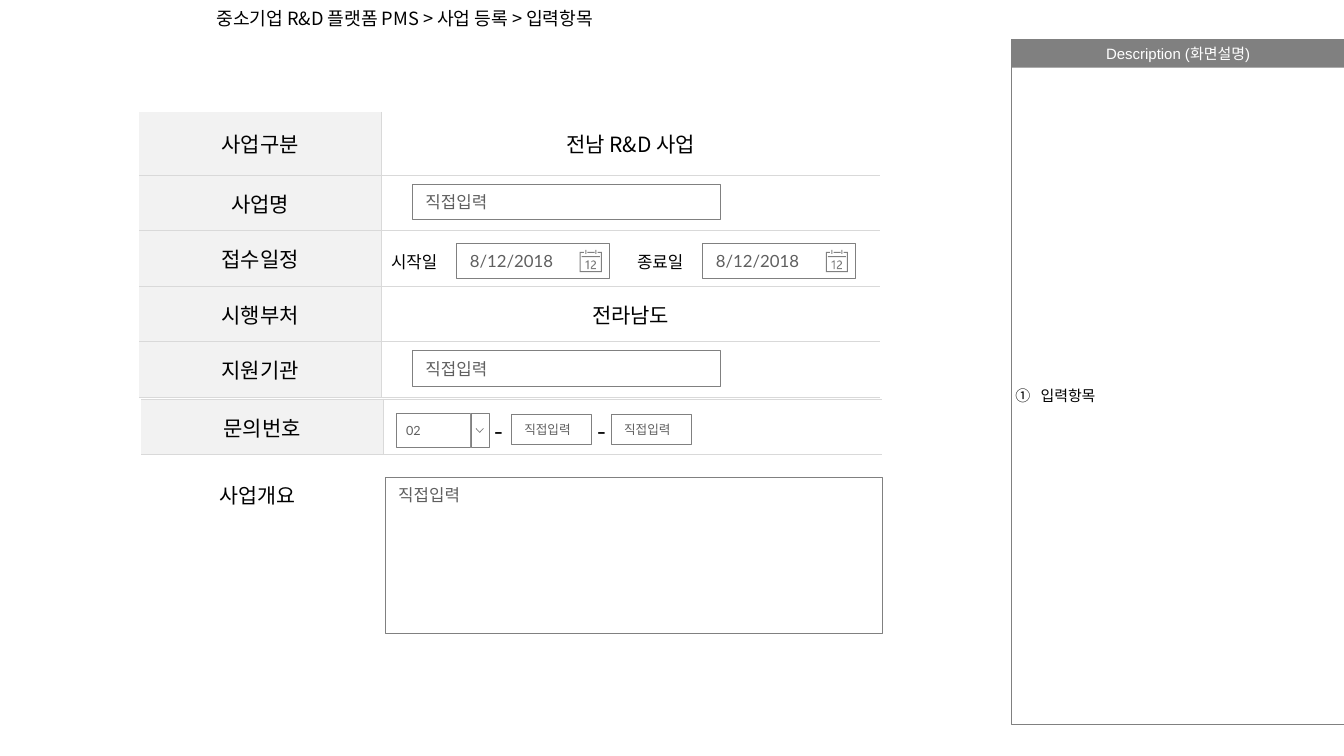
from lxml import etree
from pptx import Presentation
from pptx.dml.color import RGBColor
from pptx.enum.shapes import MSO_SHAPE
from pptx.enum.text import MSO_ANCHOR, MSO_AUTO_SIZE, PP_ALIGN
from pptx.oxml.ns import qn
from pptx.util import Inches, Pt

RECT = MSO_SHAPE.RECTANGLE
TOP, MID = MSO_ANCHOR.TOP, MSO_ANCHOR.MIDDLE
LEFT, CENTER = PP_ALIGN.LEFT, PP_ALIGN.CENTER
GROW = MSO_AUTO_SIZE.SHAPE_TO_FIT_TEXT
NOTO, LATO, ARIAL = "Noto Sans CJK KR", "Lato", "Arial"
BLACK, WHITE, GRAY, INK = "000000", "FFFFFF", "808080", "5F5F5F"
RULE, SHADE = "D9D9D9", "F2F2F2"
INSET = (0.13, 0.07, 0.13, 0.07)
PLAIN = (0.1, 0.05, 0.1, 0.05)
HINT = "직접입력"
LABEL_W, VALUE_W, ROW_H = 2.4, 4.95, 0.55

FRAME = [(0, 20), (0, 220), (220, 220), (220, 20), (178, 20), (178, 30),
         (210, 30), (210, 210), (10, 210), (10, 30), (42, 30), (42, 20)]
ONE = [(80, 104), (70, 112), (58, 117), (58, 127), (77, 118), (77, 190),
       (87, 190), (87, 104)]
TWO = [(135, 104), (124, 107), (115, 112), (115, 123), (125, 115),
       (135, 113), (146, 118), (149, 128), (146, 138), (136, 147),
       (118, 162), (111, 174), (110, 190), (160, 190), (160, 181),
       (120, 181), (123, 171), (133, 161), (150, 148), (159, 136),
       (160, 124), (154, 110), (145, 105)]


def paint(color):
    """Turn a hex string into a colour."""
    return RGBColor.from_string(color)


def write(frame, text, size, font=NOTO, color=BLACK, align=LEFT):
    """Add one run of text to the first paragraph of a frame."""
    para = frame.paragraphs[0]
    para.alignment = align
    run = para.add_run()
    run.text = text
    run.font.size = Pt(size)
    run.font.name = font
    run.font.color.rgb = paint(color)
    east = etree.SubElement(run.font._element, qn("a:ea"))
    east.set("typeface", NOTO)
    return para


def pad(frame, inset, anchor):
    """Set the insets and the anchor of a text frame."""
    (frame.margin_left, frame.margin_top,
     frame.margin_right, frame.margin_bottom) = map(Inches, inset)
    frame.vertical_anchor = anchor


def style(shape, fill=None, line=None, width=0.5):
    """Give a shape its fill and line, without a shadow."""
    shape.shadow.inherit = False
    if fill:
        shape.fill.solid()
        shape.fill.fore_color.rgb = paint(fill)
    else:
        shape.fill.background()
    if line:
        shape.line.color.rgb = paint(line)
        shape.line.width = Pt(width)
    else:
        shape.line.fill.background()


def panel(slide, box, fill=None, line=None, width=0.5):
    """Add a plain rectangle."""
    shape = slide.shapes.add_shape(RECT, *map(Inches, box))
    style(shape, fill, line, width)
    return shape


def field(slide, box, text=HINT, size=12, inset=INSET, anchor=MID):
    """Add an input box with its hint."""
    frame = panel(slide, box, WHITE, GRAY).text_frame
    frame.word_wrap = True
    if anchor == MID:
        frame.auto_size = GROW
    pad(frame, inset, anchor)
    write(frame, text, size, LATO, INK)


def label(slide, box, text, size):
    """Add a caption that fits its text."""
    frame = slide.shapes.add_textbox(*map(Inches, box)).text_frame
    frame.word_wrap = False
    frame.auto_size = GROW
    pad(frame, PLAIN, TOP)
    write(frame, text, size)


def block(x, y, w, h):
    """Return the corners of a rectangle."""
    return [(x, y), (x, y + h), (x + w, y + h), (x + w, y)]


def outline(slide, x, y, paths, close=True):
    """Draw paths given in thousandths of an inch from a corner."""
    build = slide.shapes.build_freeform(*paths[0][0], scale=914.4)
    for i, path in enumerate(paths):
        if i:
            build.move_to(*path[0])
        build.add_line_segments(path[1:], close=close)
    return build.convert_to_shape(Inches(x), Inches(y))


def picker(slide, x, y, text):
    """Add a captioned date box with a calendar icon."""
    label(slide, (x, y + 0.04, 0.71, 0.3), text, 12)
    field(slide, (x + 0.75, y, 1.51, 0.35), "8/12/2018",
          inset=(0.13, 0.07, 0.33, 0.07))
    paths = [FRAME, block(56, 0, 10, 40), block(156, 0, 10, 40),
             block(77, 20, 70, 10), block(20, 60, 180, 10), ONE, TWO]
    style(outline(slide, x + 1.97, y + 0.07, paths), GRAY)


def phone(slide, x, y):
    """Add the area code list and two number boxes."""
    field(slide, (x, y, 0.74, 0.34), "02", 9, (0.1, 0.06, 0.1, 0.06))
    panel(slide, (x + 0.74, y, 0.18, 0.34), WHITE, GRAY)
    arrow = outline(slide, x + 0.79, y + 0.15,
                    [[(75, 0), (37, 40), (0, 0)]], False)
    style(arrow, WHITE, GRAY)
    for dash, part in ((0.88, 1.14), (1.9, 2.13)):
        label(slide, (x + dash, y - 0.03, 0.31, 0.4), "-", 18)
        field(slide, (x + part, y + 0.01, 0.8, 0.3), size=9)


def border(cell, sides):
    """Rule the named sides of a cell and clear the others."""
    props = cell._tc.get_or_add_tcPr()
    for i, side in enumerate("LRTB"):
        edge = etree.Element(qn("a:ln" + side), w="12700")
        if side in sides:
            solid = etree.SubElement(edge, qn("a:solidFill"))
            etree.SubElement(solid, qn("a:srgbClr"), val=RULE)
        else:
            etree.SubElement(edge, qn("a:noFill"))
        props.insert(i, edge)


def grid(slide, x, y, rows, first=ROW_H, lid=False):
    """Add a table of labels and values."""
    tall = first + ROW_H * (len(rows) - 1)
    table = slide.shapes.add_table(
        len(rows), 2, Inches(x), Inches(y),
        Inches(LABEL_W + VALUE_W), Inches(tall)).table
    table.first_row = table.horz_banding = False
    for col, wide in zip(table.columns, (LABEL_W, VALUE_W)):
        col.width = Inches(wide)
    for r, row in enumerate(rows):
        table.rows[r].height = Inches(ROW_H if r else first)
        for c, text in enumerate(row):
            cell = table.cell(r, c)
            pad(cell, INSET, MID)
            if c:
                cell.fill.background()
            else:
                cell.fill.solid()
                cell.fill.fore_color.rgb = paint(SHADE)
            if text:
                write(cell.text_frame, text, 15, align=CENTER)
            border(cell, "RL"[c] + "B" + ("T" if r or lid else ""))


def form(slide, x, y):
    """Lay out the entry form."""
    grid(slide, x, y, [("사업구분", "전남 R&D 사업"), ("사업명", ""),
                       ("접수일정", ""), ("시행부처", "전라남도"),
                       ("지원기관", "")], first=0.63)
    grid(slide, x + 0.02, y + 2.85, [("문의번호", "")], lid=True)
    for drop in (0.72, 2.37):
        field(slide, (x + 2.71, y + drop, 3.06, 0.35))
    for shift, text in ((2.4, "시작일"), (4.84, "종료일")):
        picker(slide, x + shift, y + 1.3, text)
    phone(slide, x + 2.55, y + 2.99)
    label(slide, (x + 0.7, y + 3.63, 1.02, 0.35), "사업개요", 14.7)
    field(slide, (x + 2.44, y + 3.63, 4.93, 1.54), anchor=TOP)


def notes(slide, x, y, w, h):
    """Add the description panel with its numbered item."""
    bar = panel(slide, (x, y, w, 0.28), GRAY).text_frame
    bar.word_wrap = False
    pad(bar, (0.11, 0.06, 0.11, 0.06), MID)
    write(bar, "Description (화면설명)", 10.7, ARIAL, WHITE, CENTER)
    panel(slide, (x, y, w, h), line=GRAY, width=0.75)
    box = (x, y + 0.28, w, h - 0.26)
    body = slide.shapes.add_textbox(*map(Inches, box)).text_frame
    body.word_wrap = True
    pad(body, (0.04, 0.05, 0, 0.05), MID)
    para = write(body, "입력항목", 10.7)
    para.line_spacing = 0.9
    para.space_before = Pt(10)
    props = para._p.get_or_add_pPr()
    props.set("marL", str(Inches(0.25)))
    props.set("indent", str(Inches(-0.25)))
    etree.SubElement(props, qn("a:buFont"), typeface=NOTO)
    etree.SubElement(props, qn("a:buAutoNum"), type="circleNumDbPlain")


def title(slide, box):
    """Add the trail of page names."""
    frame = slide.shapes.add_textbox(*map(Inches, box)).text_frame
    frame.word_wrap = True
    pad(frame, PLAIN, MID)
    para = write(frame, "중소기업 R&D 플랫폼 PMS > 사업 등록 > 입력항목", 13)
    para.line_spacing = 0.9


def main():
    """Build and save the slide."""
    deck = Presentation()
    deck.slide_width, deck.slide_height = Inches(13.33), Inches(7.5)
    slide = deck.slides.add_slide(deck.slide_layouts[6])
    notes(slide, 10.03, 0.39, 3.31, 6.8)
    title(slide, (2.05, 0, 7.87, 0.39))
    form(slide, 1.38, 1.11)
    deck.save("out.pptx")


if __name__ == "__main__":
    main()
